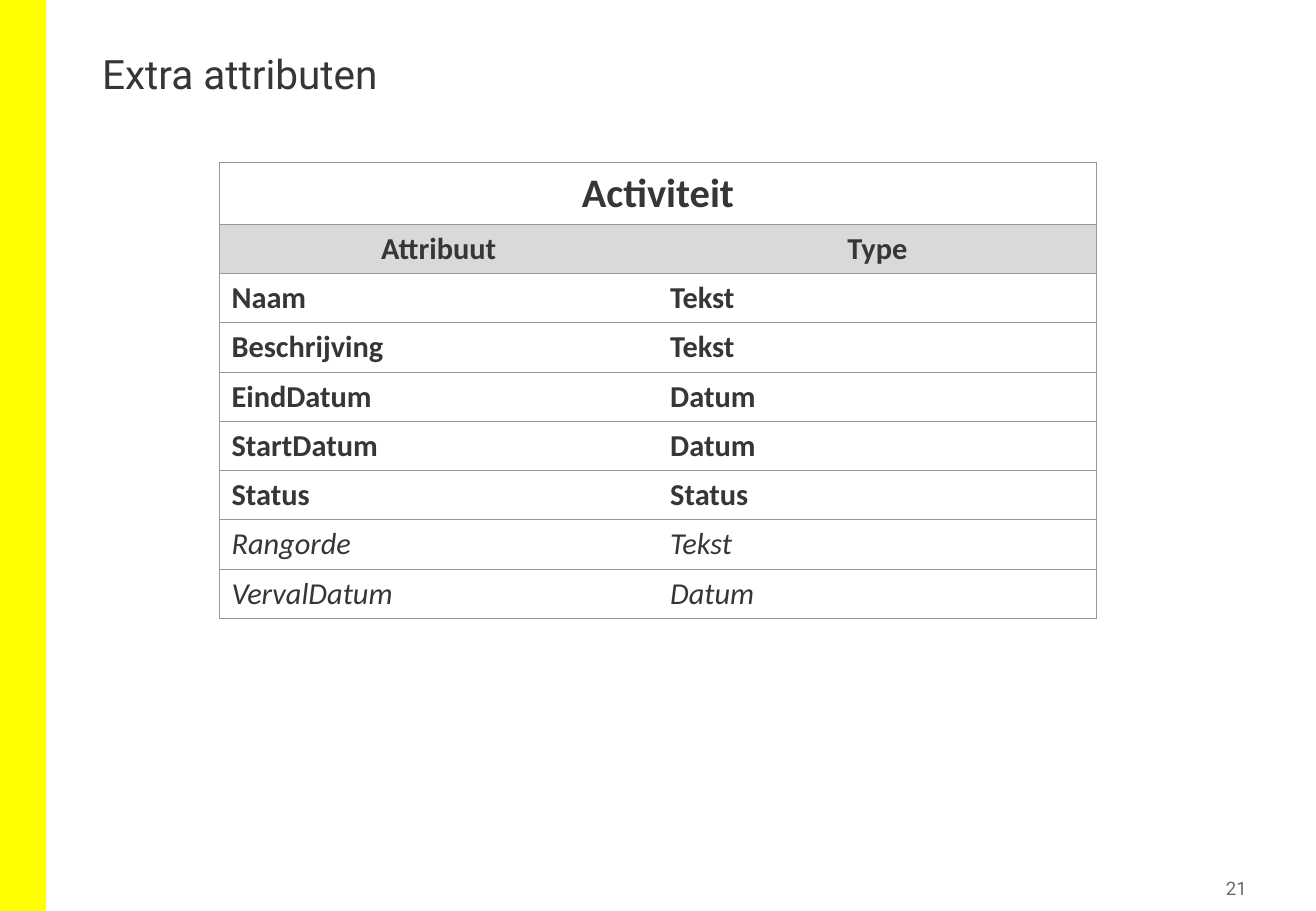
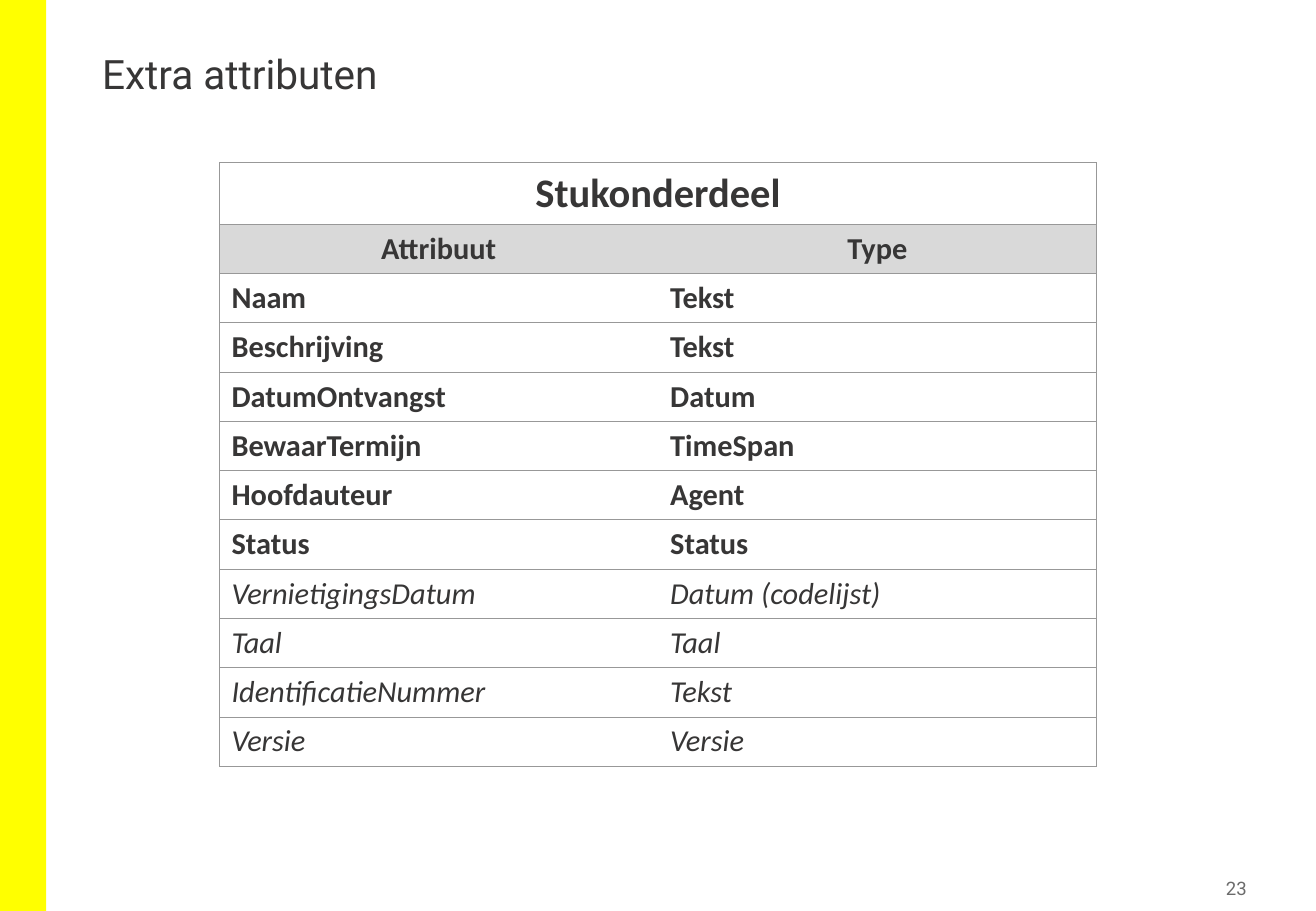
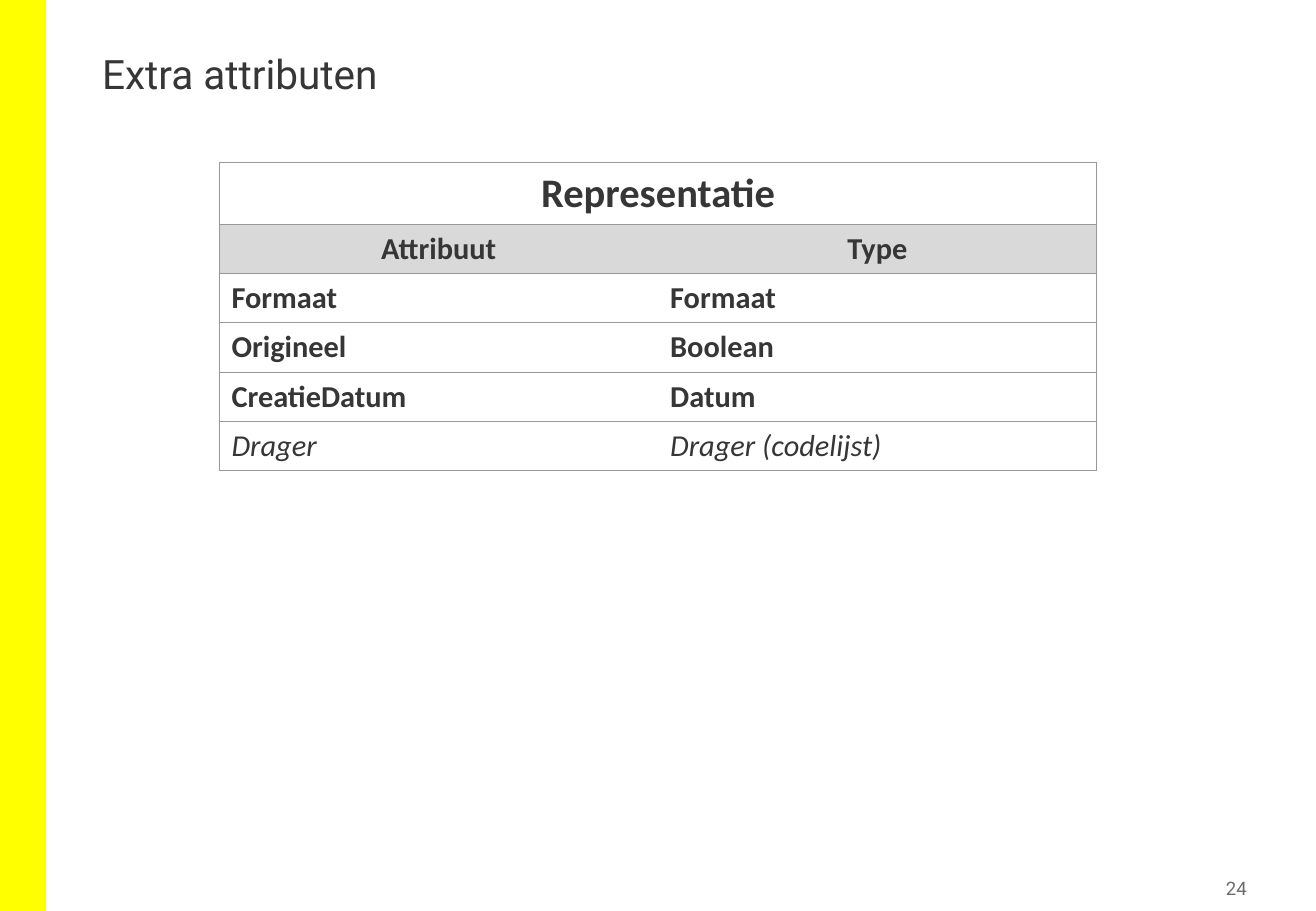
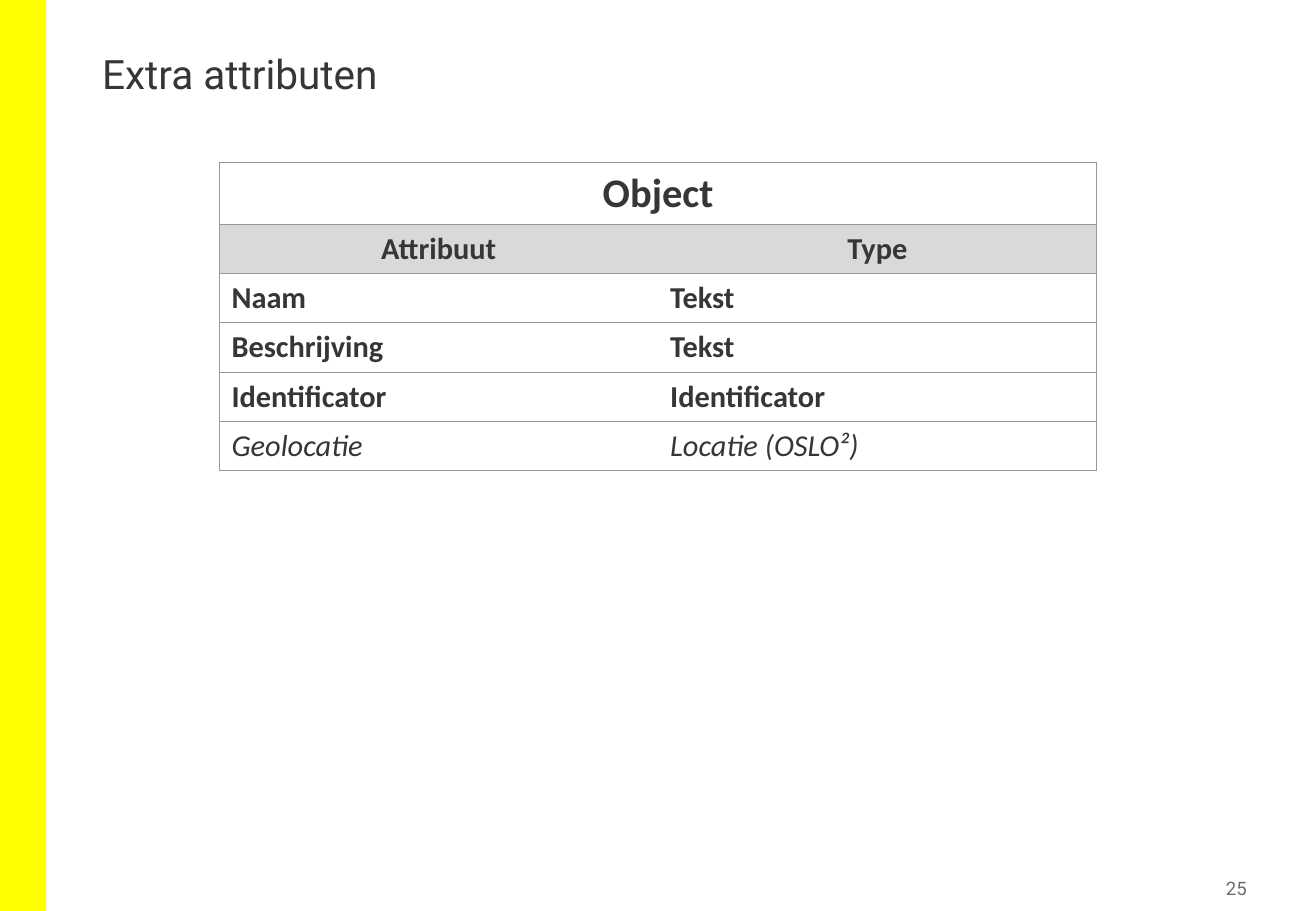
"""Builds four slides that list the extra attributes of archive entities."""
from dataclasses import dataclass

from lxml.etree import SubElement
from pptx import Presentation
from pptx.dml.color import RGBColor
from pptx.enum.shapes import MSO_SHAPE as Preset
from pptx.enum.text import MSO_ANCHOR as Anchor, MSO_AUTO_SIZE as AutoSize, PP_ALIGN as Align
from pptx.oxml.ns import qn
from pptx.util import Inches, Pt

COLORS = {
    "text": "373636",
    "page": "6B6B6B",
    "band": "FFFF00",
    "rule": "989898",
    "header": "D9D9D9",
    "body": "FFFFFF",
}
HEADING_FONT, TABLE_FONT = "Roboto", "Calibri"
WIDTH, HEIGHT = Inches(10.83), Inches(7.5)
NAME_ROW, ROW = Pt(36.5), Pt(29.2)
SIDES = ("L", "R", "T", "B")


@dataclass(frozen=True)
class Area:
    left: float
    top: float
    width: float
    height: float

    def place(self) -> tuple[int, int, int, int]:
        return (
            round(WIDTH * self.left / 100),
            round(HEIGHT * self.top / 100),
            round(WIDTH * self.width / 100),
            round(HEIGHT * self.height / 100),
        )


@dataclass(frozen=True)
class Entity:
    page: int
    name: str
    required: tuple[tuple[str, str], ...]
    optional: tuple[tuple[str, str], ...]


BAND = Area(0, 0, 3.5, 100)
TITLE = Area(6.83, 5.33, 41.74, 14.4)
PAGE = Area(87.72, 95.6, 7.48, 3.87)
ATTRIBUTES = Area(16.67, 17.87, 66.67, 0)

ENTITIES = (
    Entity(
        21,
        "Activiteit",
        (
            ("Naam", "Tekst"),
            ("Beschrijving", "Tekst"),
            ("EindDatum", "Datum"),
            ("StartDatum", "Datum"),
            ("Status", "Status"),
        ),
        (("Rangorde", "Tekst"), ("VervalDatum", "Datum")),
    ),
    Entity(
        23,
        "Stukonderdeel",
        (
            ("Naam", "Tekst"),
            ("Beschrijving", "Tekst"),
            ("DatumOntvangst", "Datum"),
            ("BewaarTermijn", "TimeSpan"),
            ("Hoofdauteur", "Agent"),
            ("Status", "Status"),
        ),
        (
            ("VernietigingsDatum", "Datum (codelijst)"),
            ("Taal", "Taal"),
            ("IdentificatieNummer", "Tekst"),
            ("Versie", "Versie"),
        ),
    ),
    Entity(
        24,
        "Representatie",
        (("Formaat", "Formaat"), ("Origineel", "Boolean"), ("CreatieDatum", "Datum")),
        (("Drager", "Drager (codelijst)"),),
    ),
    Entity(
        25,
        "Object",
        (("Naam", "Tekst"), ("Beschrijving", "Tekst"), ("Identificator", "Identificator")),
        (("Geolocatie", "Locatie (OSLO²)"),),
    ),
)


def write(frame, text: str, *, size: float, font: str = TABLE_FONT, color: str = "text",
          align=Align.LEFT, bold: bool = False, italic: bool = False,
          spacing: float | None = None) -> None:
    paragraph = frame.paragraphs[0]
    paragraph.alignment = align
    paragraph.line_spacing = spacing
    run = paragraph.add_run()
    run.text = text
    run.font.name = font
    run.font.size = Pt(size)
    run.font.bold = bold
    run.font.italic = italic
    run.font.color.rgb = RGBColor.from_string(COLORS[color])


def rule_cell(cell, hidden: str) -> None:
    properties = cell._tc.get_or_add_tcPr()
    for side in SIDES:
        line = SubElement(properties, qn(f"a:ln{side}"), w=str(Pt(0.5)))
        if side in hidden:
            SubElement(line, qn("a:noFill"))
        else:
            paint = SubElement(line, qn("a:solidFill"))
            SubElement(paint, qn("a:srgbClr"), val=COLORS["rule"])


def style_cell(cell, fill: str, hidden: str = "") -> None:
    rule_cell(cell, hidden)
    cell.fill.solid()
    cell.fill.fore_color.rgb = RGBColor.from_string(COLORS[fill])


def add_band(slide) -> None:
    band = slide.shapes.add_shape(Preset.RECTANGLE, *BAND.place())
    band.shadow.inherit = False
    band.fill.solid()
    band.fill.fore_color.rgb = RGBColor.from_string(COLORS["band"])
    band.line.fill.background()
    band.element.nvSpPr.cNvPr.set("id", "20")
    slide.slide_layout.shapes.element.insert(2, band.element)


def add_title(slide, text: str) -> None:
    title = slide.shapes.title
    title.left, title.top, title.width, title.height = TITLE.place()
    frame = title.text_frame
    frame.vertical_anchor = Anchor.TOP
    frame.auto_size = AutoSize.NONE
    write(frame, text, size=24, font=HEADING_FONT, spacing=0.9)


def add_page_number(slide, page: int) -> None:
    frame = slide.shapes.add_textbox(*PAGE.place()).text_frame
    frame.word_wrap = True
    frame.auto_size = AutoSize.SHAPE_TO_FIT_TEXT
    frame.vertical_anchor = Anchor.MIDDLE
    frame.margin_left = frame.margin_right = Inches(0.05)
    frame.margin_top = frame.margin_bottom = Inches(0.05)
    write(frame, str(page), size=11, font=HEADING_FONT, color="page", align=Align.RIGHT)


def add_attributes(slide, entity: Entity) -> None:
    rows = (("Attribuut", "Type"), *entity.required, *entity.optional)
    left, top, width, _ = ATTRIBUTES.place()
    height = NAME_ROW + ROW * len(rows)
    table = slide.shapes.add_table(len(rows) + 1, 2, left, top, width, height).table
    table.first_row = table.horz_banding = False
    for row in table.rows:
        row.height = ROW
    table.rows[0].height = NAME_ROW

    name = table.cell(0, 0)
    name.merge(table.cell(0, 1))
    for column in range(2):
        style_cell(table.cell(0, column), "body")
    write(name.text_frame, entity.name, size=24, align=Align.CENTER, bold=True)

    for index, values in enumerate(rows):
        header = index == 0
        optional = index > len(entity.required)
        for column, (value, inner) in enumerate(zip(values, "RL")):
            cell = table.cell(index + 1, column)
            style_cell(cell, "header" if header else "body", inner)
            write(cell.text_frame, value, size=18, bold=not optional, italic=optional,
                  align=Align.CENTER if header else Align.LEFT)


def main() -> None:
    deck = Presentation()
    deck.slide_width, deck.slide_height = WIDTH, HEIGHT
    title_only = deck.slide_layouts[5]
    for position, entity in enumerate(ENTITIES):
        slide = deck.slides.add_slide(title_only)
        if position == 0:
            add_band(slide)
        add_title(slide, "Extra attributen")
        add_page_number(slide, entity.page)
        add_attributes(slide, entity)
    deck.save("out.pptx")


if __name__ == "__main__":
    main()
